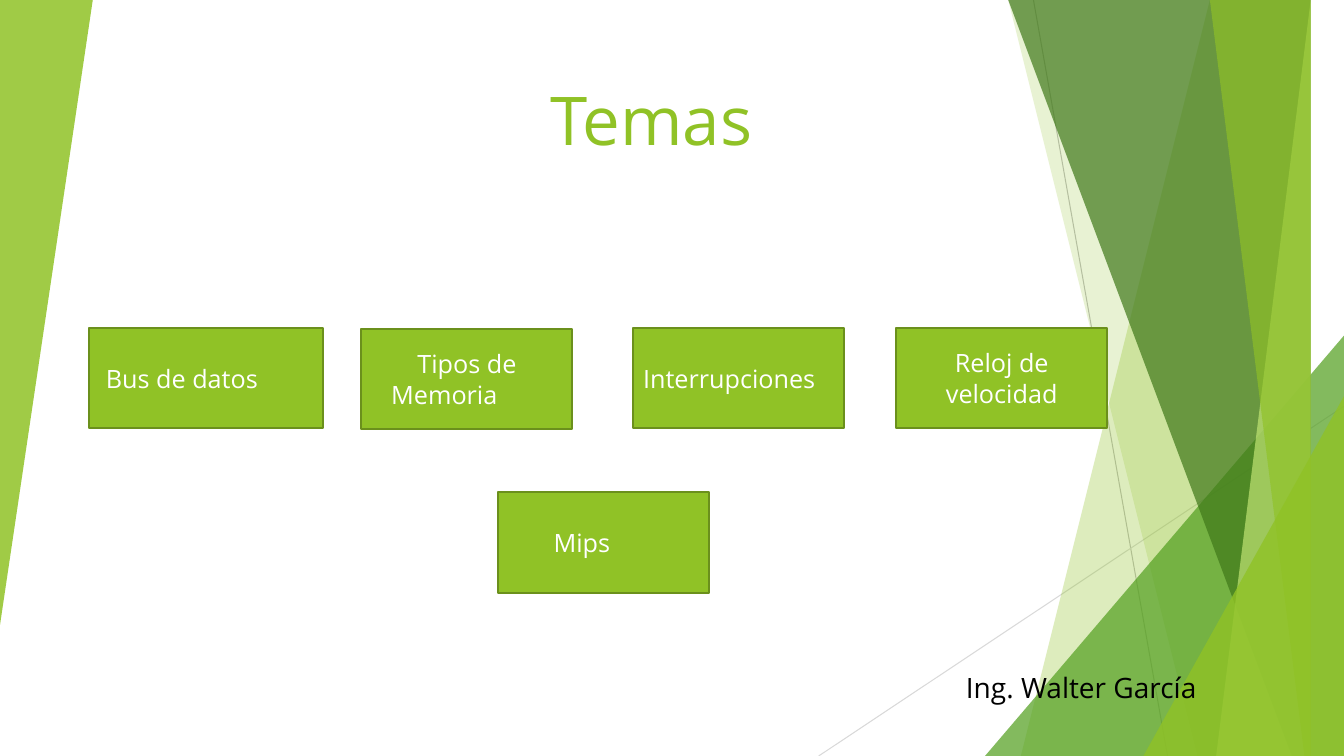
import pptx
import pptx.util
import pptx.dml.color
import pptx.enum.shapes
import pptx.enum.text
import pptx.oxml
import pptx.oxml.ns

Inches = pptx.util.Inches
Pt = pptx.util.Pt
Shape = pptx.enum.shapes.MSO_SHAPE
Align = pptx.enum.text.PP_ALIGN
Anchor = pptx.enum.text.MSO_ANCHOR
WIDTH, HEIGHT = 13.33, 7.5
GREEN = "90C226"


def paint(fill, color, opacity=100):
    fill.solid()
    fill.fore_color.rgb = pptx.dml.color.RGBColor.from_string(color)
    if opacity < 100:
        color_element = fill._xPr.find(".//" + pptx.oxml.ns.qn("a:srgbClr"))
        alpha = pptx.oxml.parse_xml(
            f'<a:alpha {pptx.oxml.ns.nsdecls("a")} val="{opacity * 1000}"/>')
        color_element.append(alpha)


def write(shape, text, size, color, alignment, anchor, inset=0.1, indent=0):
    frame = shape.text_frame
    frame.text = text
    frame_format = {
        "word_wrap": True,
        "auto_size": pptx.enum.text.MSO_AUTO_SIZE.NONE,
        "vertical_anchor": anchor,
        "margin_left": Inches(inset),
        "margin_right": Inches(0.1),
        "margin_top": Inches(0.05),
        "margin_bottom": Inches(0.05),
    }
    for name, value in frame_format.items():
        setattr(frame, name, value)
    paragraph = frame.paragraphs[0]
    paragraph.alignment = alignment
    paragraph.space_before = Pt(0)
    if indent:
        paragraph._p.get_or_add_pPr().set("indent", str(Inches(indent)))
    font = paragraph.runs[0].font
    for name, value in {"name": "Open Sans", "size": Pt(size), "bold": False}.items():
        setattr(font, name, value)
    paint(font.fill, color)


presentation = pptx.Presentation()
presentation.slide_width = Inches(WIDTH)
presentation.slide_height = Inches(HEIGHT)
slide = presentation.slides.add_slide(presentation.slide_layouts[0])
shapes = slide.shapes

for start_x, start_y, end_x, end_y, color in [
    (10.25, 0, 11.58, HEIGHT, "BFBFBF"),
    (WIDTH, 4.03, 8.12, HEIGHT, "D9D9D9"),
]:
    ray = shapes.add_connector(
        pptx.enum.shapes.MSO_CONNECTOR.STRAIGHT,
        Inches(start_x), Inches(start_y), Inches(end_x), Inches(end_y))
    ray.line.width = Pt(0.75)
    paint(ray.line.fill, color)
    ray._element.spPr.append(
        pptx.oxml.parse_xml(f'<a:effectLst {pptx.oxml.ns.nsdecls("a")}/>'))

facets = [
    ("band", 12.28, 10.04, GREEN, 30),
    ("band", 10.5, 11.83, GREEN, 20),
    ("corner", 9.77, 3.33, "54A021", 72),
    ("band", 10.21, 12.91, "3F7819", 70),
    ("band", 13.03, 11.92, "C0E474", 70),
    ("band", 11.96, 13.18, GREEN, 65),
    ("corner", 11.34, 3.93, GREEN, 80),
    ("left wedge", 0.92, 6.2, GREEN, 85),
]
for kind, first, second, color, opacity in facets:
    if kind == "band":
        builder = shapes.build_freeform(first, 0, scale=Inches(1))
        builder.add_line_segments([(WIDTH, 0), (WIDTH, HEIGHT), (second, HEIGHT)])
        facet = builder.convert_to_shape()
    else:
        if kind == "corner":
            box = (first, second, WIDTH - first, HEIGHT - second)
        else:
            box = (0, 0, first, second)
        facet = shapes.add_shape(Shape.ISOSCELES_TRIANGLE, *map(Inches, box))
        facet.adjustments[0] = 1
        facet.rotation = 180 if kind == "left wedge" else 0
    facet.shadow.inherit = False
    facet.line.fill.background()
    paint(facet.fill, color, opacity)

title, author = slide.placeholders
for placeholder, box in [
    (title, (2.43, 0.71, 8.06, 0.92)),
    (author, (9.43, 6.6, 3.52, 0.4)),
]:
    for name, value in zip(("left", "top", "width", "height"), box):
        setattr(placeholder, name, Inches(value))
    shapes._spTree.append(placeholder._element)
write(title, "Temas", 48, GREEN, Align.CENTER, Anchor.BOTTOM)
write(author, "Ing. Walter García", 20, "000000", Align.LEFT, Anchor.TOP, inset=0.15)

topics = [
    ("Bus de datos", 0.88, 3.25, 2.32, Align.LEFT, 0.17, 0),
    ("Tipos de Memoria", 3.58, 3.26, 2.09, Align.LEFT, 0.3, 0.26),
    ("Interrupciones", 6.28, 3.25, 2.09, Align.LEFT, 0.1, 0),
    ("Reloj de velocidad", 8.89, 3.25, 2.09, Align.CENTER, 0.1, 0),
    ("Mips", 4.94, 4.88, 2.09, Align.LEFT, 0.55, 0),
]
for text, left, top, width, alignment, inset, indent in topics:
    topic = shapes.add_shape(
        Shape.RECTANGLE, Inches(left), Inches(top), Inches(width), Inches(1))
    topic.shadow.inherit = False
    paint(topic.fill, GREEN)
    paint(topic.line.fill, "6B901C")
    topic.line.width = Pt(1.5)
    write(topic, text, 18, "FFFFFF", alignment, Anchor.MIDDLE, inset, indent)

presentation.save("out.pptx")
